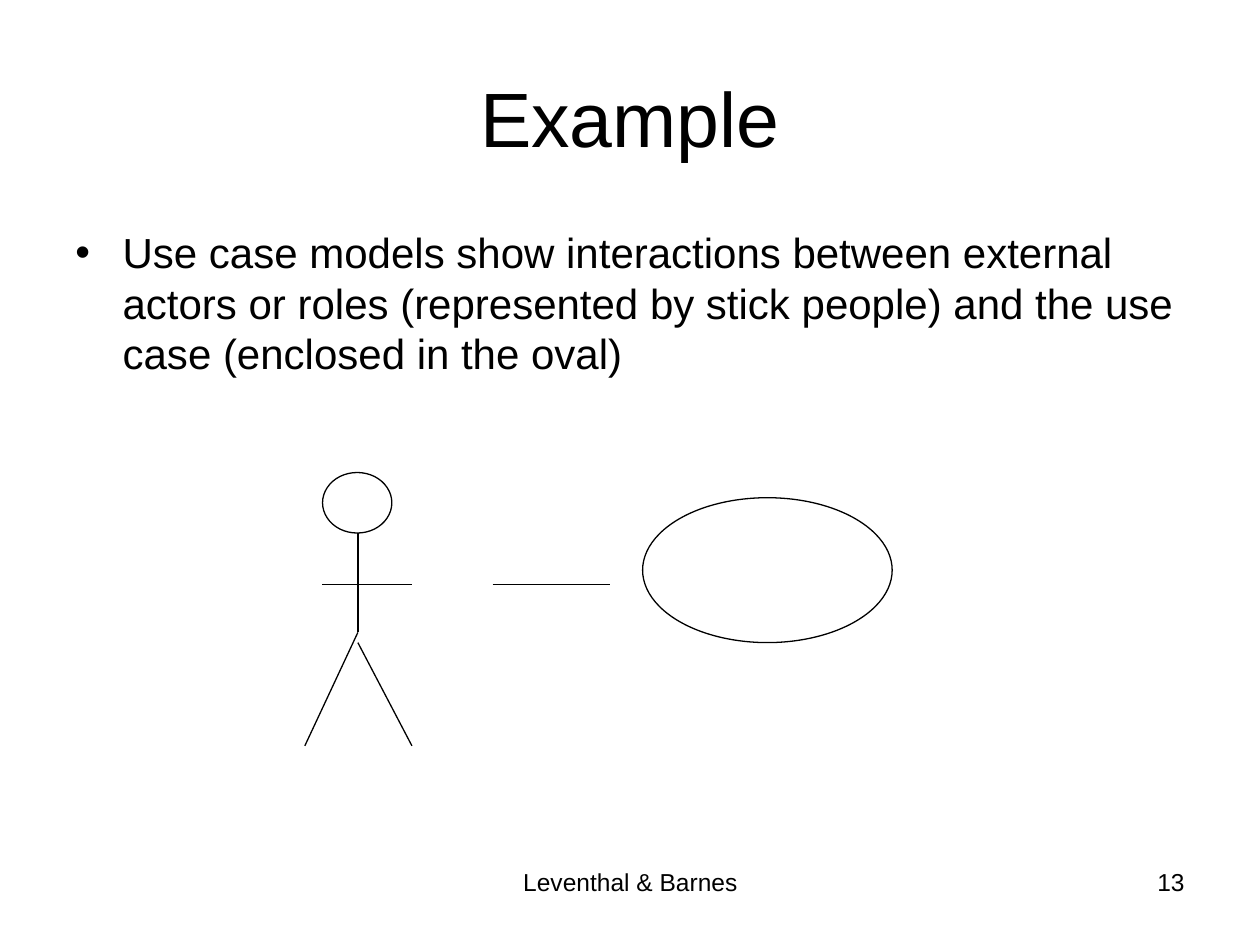
from dataclasses import dataclass

from lxml import etree
from pptx import Presentation
from pptx.dml.color import RGBColor
from pptx.enum.shapes import MSO_CONNECTOR, MSO_SHAPE
from pptx.enum.text import MSO_ANCHOR, PP_ALIGN
from pptx.oxml.ns import qn
from pptx.util import Pt

LEFT, CENTER, RIGHT = PP_ALIGN.LEFT, PP_ALIGN.CENTER, PP_ALIGN.RIGHT
TOP, MIDDLE = MSO_ANCHOR.TOP, MSO_ANCHOR.MIDDLE
OVAL, LINE = MSO_SHAPE.OVAL, MSO_CONNECTOR.STRAIGHT


@dataclass(frozen=True)
class Theme:
    ink: RGBColor = RGBColor(0, 0, 0)
    paper: RGBColor = RGBColor(255, 255, 255)
    font: str = "Arial"
    title: int = 44
    body: int = 24
    foot: int = 14
    stroke: float = 0.75


theme = Theme()
deck = Presentation()
deck.slide_width, deck.slide_height = Pt(720), Pt(540)
slide = deck.slides.add_slide(deck.slide_layouts[6])
slide.background.fill.solid()
slide.background.fill.fore_color.rgb = theme.paper


def add_text(text, box, size, align, anchor=TOP):
    frame = slide.shapes.add_textbox(*map(Pt, box)).text_frame
    frame.word_wrap = True
    frame.vertical_anchor = anchor
    para = frame.paragraphs[0]
    para.text = text
    para.alignment = align
    para.font.name = theme.font
    para.font.size = Pt(size)
    para.font.color.rgb = theme.ink
    return para


# Title and bullet
add_text("Example", (36, 21.6, 648, 90), theme.title, CENTER, MIDDLE)
point = add_text(
    "Use case models show interactions between external actors or roles "
    "(represented by stick people) and the use case (enclosed in the oval)",
    (36, 126, 648, 356.4), theme.body, LEFT)
point.space_before = Pt(6)
props = point._p.get_or_add_pPr()
props.set("marL", str(Pt(27)))
props.set("indent", str(Pt(-27)))
etree.SubElement(props, qn("a:buFont")).set("typeface", theme.font)
etree.SubElement(props, qn("a:buChar")).set("char", "•")

# Actor's head and use case oval
drawing = slide.shapes.add_group_shape()
for box in [(184.3, 270, 39.6, 34.6), (367.2, 284.4, 142.6, 82.8)]:
    oval = drawing.shapes.add_shape(OVAL, *map(Pt, box))
    oval.shadow.inherit = False
    oval.fill.solid()
    oval.fill.fore_color.rgb = theme.paper
    oval.line.color.rgb = theme.ink
    oval.line.width = Pt(theme.stroke)

# Actor's body and link to the use case
spine, hip, foot, arm = 204.5, 361.4, 426.2, 334.1
hand = 235.4
for ends in [
    (spine, 304.6, spine, hip),      # trunk
    (spine, hip, 174.2, foot),       # left leg
    (spine, 367.2, hand, foot),      # right leg
    (184.3, arm, hand, arm),         # arms
    (281.5, arm, 348.5, arm),        # link
]:
    limb = drawing.shapes.add_connector(LINE, *map(Pt, ends))
    limb.line.color.rgb = theme.ink
    limb.line.width = Pt(theme.stroke)
    etree.SubElement(limb._element.spPr, qn("a:effectLst"))

# Footer
add_text("Leventhal & Barnes", (246.2, 491.8, 228.2, 37.4), theme.foot, CENTER)
add_text("13", (516.2, 491.8, 167.8, 37.4), theme.foot, RIGHT)

deck.save("out.pptx")
